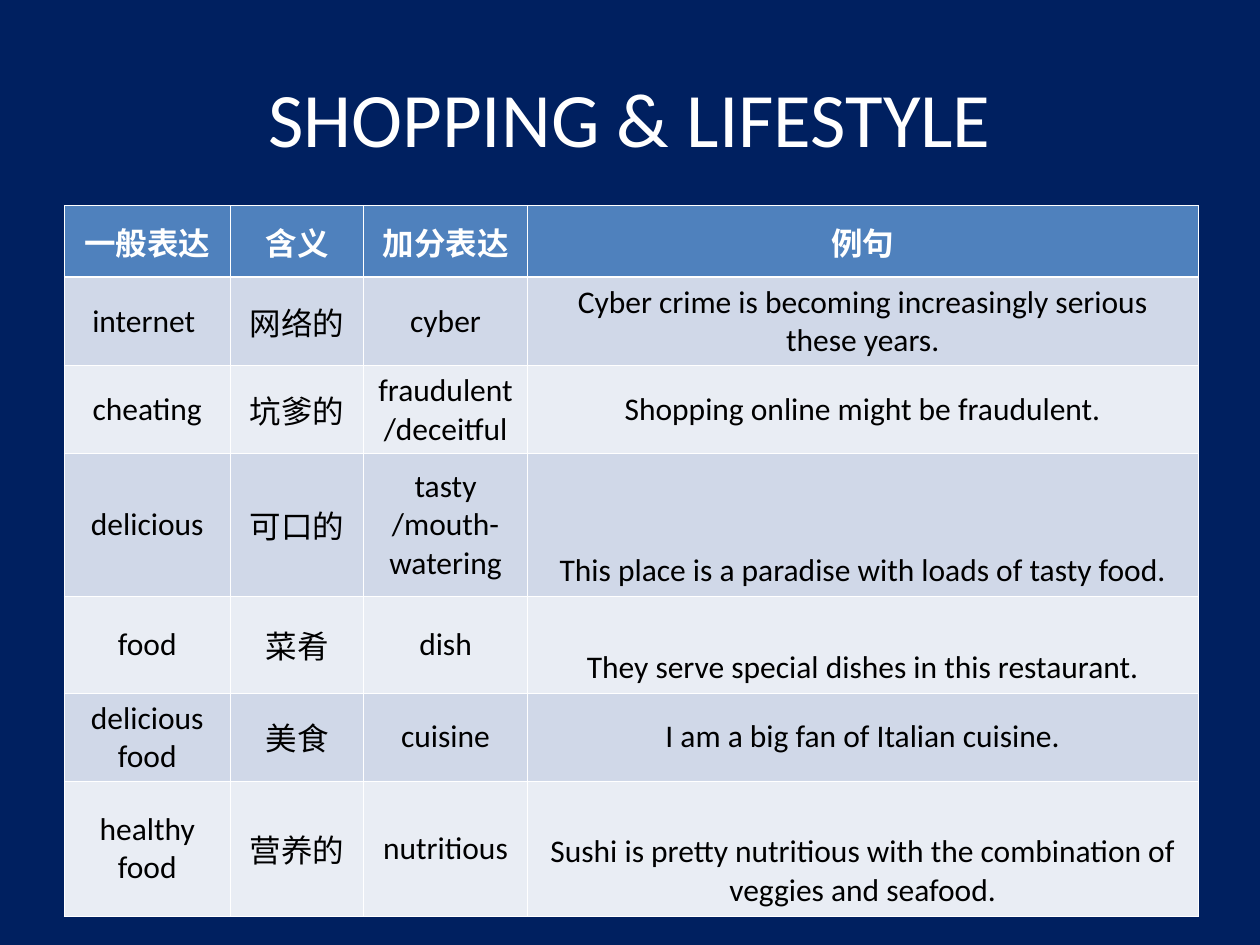
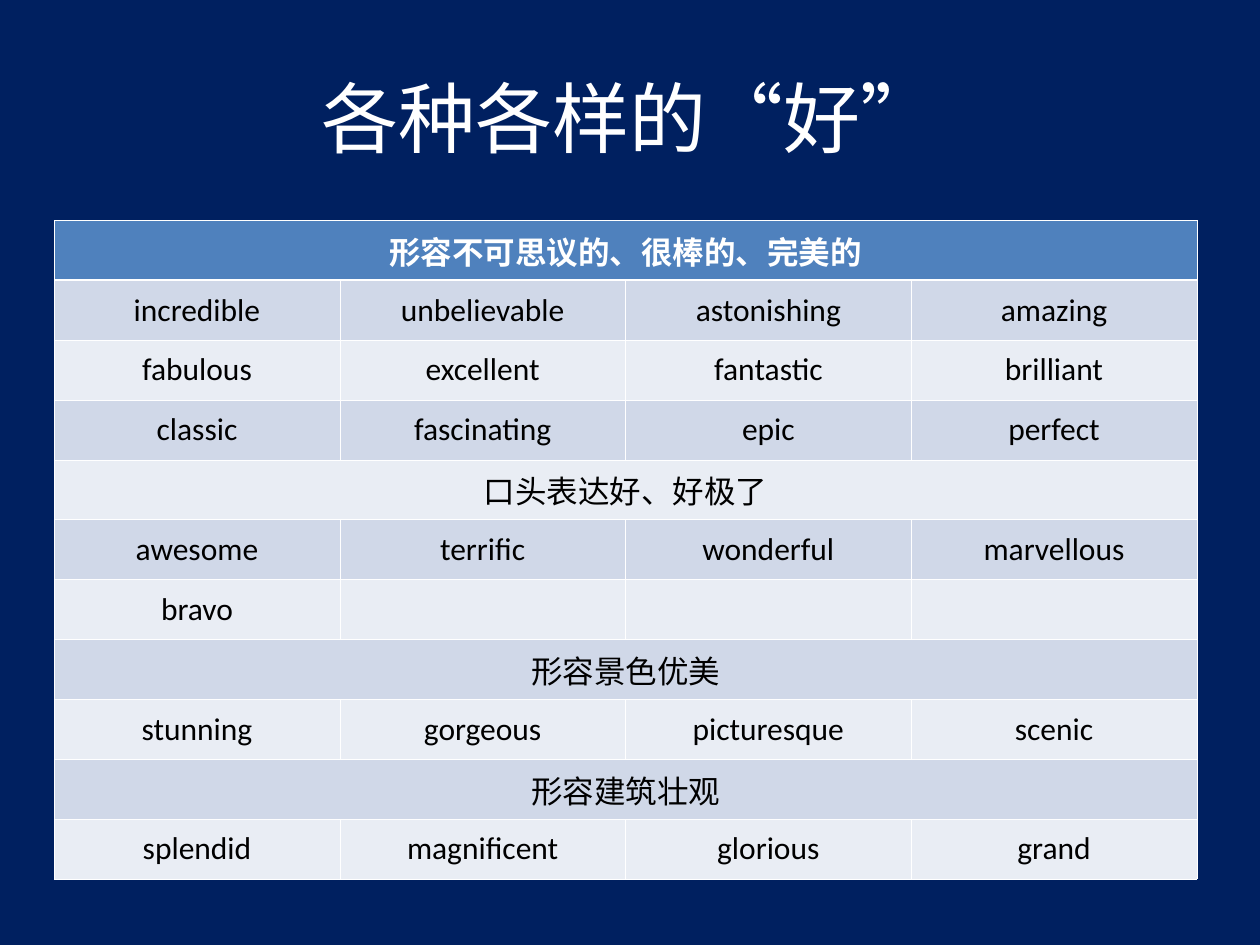
from dataclasses import dataclass

from lxml import etree
from pptx import Presentation, util as u
from pptx.dml.color import RGBColor
from pptx.enum import lang, text
from pptx.oxml import ns


@dataclass(frozen=True)
class Theme:
    background: str = "002060"
    header: str = "4F81BD"
    bands: tuple = ("E9EDF4", "D0D8E8")
    light: str = "FFFFFF"
    dark: str = "000000"
    latin: str = "Calibri"
    chinese: str = "Noto Sans CJK SC"
    title_size: int = 44
    body_size: int = 18
    thin: float = 0.45
    thick: float = 1.47


T = Theme()
MIDDLE, BOTTOM = text.MSO_ANCHOR.MIDDLE, text.MSO_ANCHOR.BOTTOM

prs = Presentation()
prs.slide_width, prs.slide_height = u.Inches(10), u.Inches(7.5)
COL, ROW = prs.slide_width / 100, prs.slide_height / 100
TITLE_BOX = (5, 4, 90, 16.67)


def write(tf, words, size=T.body_size, color=T.dark, bold=False, font=T.latin):
    tf.word_wrap = True
    p = tf.paragraphs[0]
    p.alignment = text.PP_ALIGN.CENTER
    r = p.add_run()
    r.text = words
    r.font.size, r.font.bold, r.font.name = u.Pt(size), bold, font
    r.font.color.rgb = RGBColor.from_string(color)
    if not words.isascii() or font == T.chinese:
        r.font.language_id = lang.MSO_LANGUAGE_ID.SIMPLIFIED_CHINESE
    ea = etree.Element(ns.qn("a:ea"), typeface=T.chinese)
    r.font._rPr.find(ns.qn("a:latin")).addnext(ea)


def draw_borders(cell, top, bottom):
    tcPr = cell._tc.get_or_add_tcPr()
    widths = {"lnL": T.thin, "lnR": T.thin, "lnT": top, "lnB": bottom}
    for i, (side, width) in enumerate(widths.items()):
        ln = etree.Element(ns.qn(f"a:{side}"), w=str(int(u.Pt(width))))
        fill = etree.SubElement(ln, ns.qn("a:solidFill"))
        etree.SubElement(fill, ns.qn("a:srgbClr"), val=T.light)
        tcPr.insert(i, ln)


slides = [
    dict(
        title="SHOPPING & LIFESTYLE",
        font=T.latin,
        box=(5.1, 21.73, 90, 75.2),
        columns=[132, 106, 130, 533],
        heights=[57, 70, 70, 113, 77, 70, 107],
        low_cells={(3, 3), (4, 3), (6, 3)},
        rows=[
            ["一般表达", "含义", "加分表达", "例句"],
            ["internet ", "网络的", "cyber",
             "Cyber crime is becoming increasingly serious these years."],
            ["cheating", "坑爹的", "fraudulent/deceitful",
             "Shopping online might be fraudulent."],
            ["delicious", "可口的", "tasty /mouth-watering",
             "This place is a paradise with loads of tasty food."],
            ["food", "菜肴", "dish",
             "They serve special dishes in this restaurant."],
            ["delicious food", "美食", "cuisine",
             "I am a big fan of Italian cuisine."],
            ["healthy food", "营养的", "nutritious",
             "Sushi is pretty nutritious with the combination of veggies and seafood."],
        ],
    ),
    dict(
        title="各种各样的“好”",
        font=T.chinese,
        box=(4.3, 23.33, 90.7, 69.73),
        columns=[1] * 4,
        heights=[1] * 11,
        low_cells=set(),
        rows=[
            ["形容不可思议的、很棒的、完美的"],
            ["incredible", "unbelievable", "astonishing", "amazing"],
            ["fabulous", "excellent", "fantastic", "brilliant"],
            ["classic", "fascinating", "epic", "perfect"],
            ["口头表达好、好极了"],
            ["awesome", "terrific", "wonderful", "marvellous"],
            ["bravo", "", "", ""],
            ["形容景色优美"],
            ["stunning", "gorgeous", "picturesque", "scenic"],
            ["形容建筑壮观"],
            ["splendid", "magnificent", "glorious", "grand"],
        ],
    ),
]

for page in slides:
    s = prs.slides.add_slide(prs.slide_layouts[6])
    s.background.fill.solid()
    s.background.fill.fore_color.rgb = RGBColor.from_string(T.background)

    x, y, w, h = TITLE_BOX
    sp = s.shapes.add_textbox(int(x * COL), int(y * ROW), int(w * COL), int(h * ROW))
    sp.text_frame.vertical_anchor = MIDDLE
    write(sp.text_frame, page["title"], size=T.title_size, color=T.light, font=page["font"])

    rows, columns, heights = page["rows"], page["columns"], page["heights"]
    x, y, w, h = page["box"]
    table = s.shapes.add_table(len(rows), len(columns), int(x * COL), int(y * ROW),
                               int(w * COL), int(h * ROW)).table
    table.horz_banding = False
    for column, share in zip(table.columns, columns):
        column.width = int(w * COL * share / sum(columns))
    for row, share in zip(table.rows, heights):
        row.height = int(h * ROW * share / sum(heights))

    for i, entries in enumerate(rows):
        is_header = i == 0
        for j in range(len(columns)):
            cell = table.cell(i, j)
            cell.vertical_anchor = BOTTOM if (i, j) in page["low_cells"] else MIDDLE
            cell.fill.solid()
            cell.fill.fore_color.rgb = RGBColor.from_string(
                T.header if is_header else T.bands[i % 2])
            draw_borders(cell, T.thick if i == 1 else T.thin,
                         T.thick if is_header else T.thin)
            if j < len(entries) and entries[j]:
                write(cell.text_frame, entries[j], bold=is_header,
                      color=T.light if is_header else T.dark)
        if len(entries) == 1:
            table.cell(i, 0).merge(table.cell(i, len(columns) - 1))

prs.save("out.pptx")
